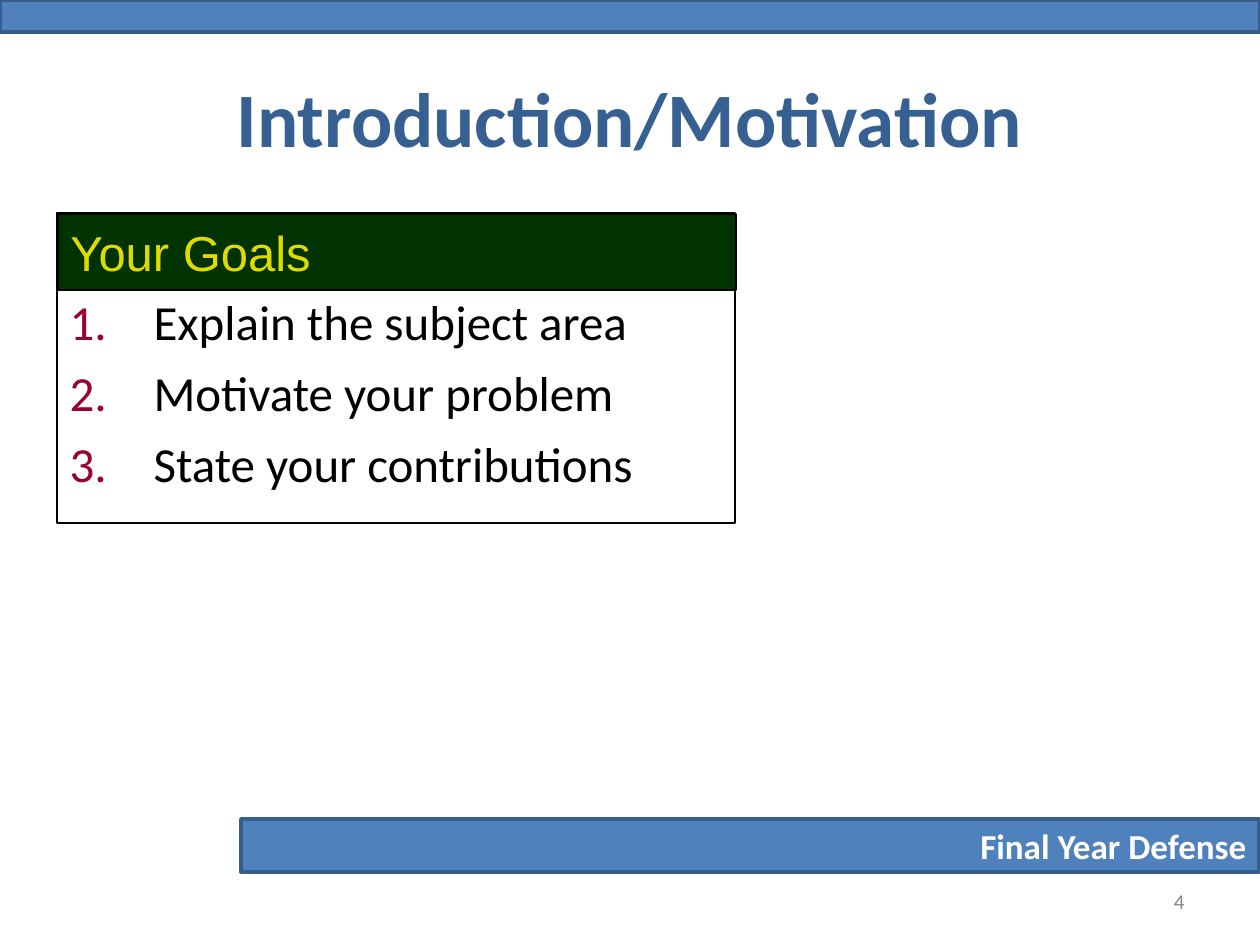
from lxml import etree
from pptx import Presentation
from pptx.dml.color import RGBColor
from pptx.enum.shapes import MSO_SHAPE
from pptx.enum.text import MSO_ANCHOR, MSO_AUTO_SIZE, PP_ALIGN
from pptx.oxml.ns import qn
from pptx.util import Emu, Pt

TITLE = "Introduction/Motivation"
GOALS_HEADING = "Your Goals"
GOALS = ["Explain the subject area", "Motivate your problem", "State your contributions"]
FOOTER = "Final Year Defense"
PAGE_NUMBER = "4"

BAR_BLUE = RGBColor(0x4F, 0x81, 0xBD)
BAR_EDGE = RGBColor(0x38, 0x5D, 0x8A)
TITLE_BLUE = RGBColor(0x37, 0x60, 0x92)
DARK_GREEN = RGBColor(0x00, 0x33, 0x00)
YELLOW = RGBColor(0xDF, 0xDA, 0x00)
NUMBER_RED = RGBColor(0x99, 0x00, 0x33)
GRAY = RGBColor(0x89, 0x89, 0x89)
BLACK = RGBColor(0x00, 0x00, 0x00)
WHITE = RGBColor(0xFF, 0xFF, 0xFF)

RECTANGLE = MSO_SHAPE.RECTANGLE
LEFT, CENTER, RIGHT = PP_ALIGN.LEFT, PP_ALIGN.CENTER, PP_ALIGN.RIGHT
MIDDLE, TOP = MSO_ANCHOR.MIDDLE, MSO_ANCHOR.TOP

PX = 914400 // 126
SLIDE_W, SLIDE_H = 1260, 945
TITLE_BOX = (63, 38, 1134, 157)
TOP_BAR = (0, 0, SLIDE_W, 32)
FOOTER_BAR = (241, 819, 1018, 53)
NUMBER_BOX = (903, 876, 294, 50)
GOALS_BOX = (57, 213, 678, 310)
HEADING_BOX = (58, 214, 678, 76)
GOALS_TOP_INSET = 78
GOAL_INDENT = 84


def px(length):
    return Emu(length * PX)


def place(shape, box):
    shape.left, shape.top, shape.width, shape.height = map(px, box)


def write(shape, lines, size, color, align=LEFT, anchor=MIDDLE, font="Calibri", bold=False):
    frame = shape.text_frame
    frame.text = "\n".join(lines)
    frame.auto_size = MSO_AUTO_SIZE.NONE
    frame.word_wrap = True
    frame.vertical_anchor = anchor
    for paragraph in frame.paragraphs:
        paragraph.alignment = align
        paragraph.font.name = font
        paragraph.font.size = Pt(size)
        paragraph.font.bold = bold
        paragraph.font.color.rgb = color


def add_bar(slide, box, fill, edge, edge_width):
    bar = slide.shapes.add_shape(RECTANGLE, *map(px, box))
    bar.shadow.inherit = False
    bar.fill.solid()
    bar.fill.fore_color.rgb = fill
    bar.line.color.rgb = edge
    bar.line.width = Pt(edge_width)
    return bar


def number_paragraph(paragraph):
    properties = paragraph._p.get_or_add_pPr()
    properties.set("marL", str(px(GOAL_INDENT)))
    properties.set("indent", str(-px(GOAL_INDENT)))
    bullet_color = etree.SubElement(properties, qn("a:buClr"))
    etree.SubElement(bullet_color, qn("a:srgbClr"), val=str(NUMBER_RED))
    etree.SubElement(properties, qn("a:buFont"), typeface="+mj-lt")
    etree.SubElement(properties, qn("a:buAutoNum"), type="arabicPeriod")


def add_goals(goals):
    place(goals, GOALS_BOX)
    goals.line.color.rgb = BLACK
    goals.line.width = Pt(0.75)
    frame = goals.text_frame
    frame.text = "\n".join(GOALS)
    frame.margin_top = px(GOALS_TOP_INSET)
    for index, paragraph in enumerate(frame.paragraphs):
        number_paragraph(paragraph)
        paragraph.space_before = Pt(7 if index else 0)


def main():
    presentation = Presentation()
    presentation.slide_width, presentation.slide_height = px(SLIDE_W), px(SLIDE_H)
    slide = presentation.slides.add_slide(presentation.slide_layouts[1])

    title, goals = slide.placeholders
    place(title, TITLE_BOX)
    write(title, [TITLE], 44, TITLE_BLUE, CENTER, bold=True)

    add_goals(goals)
    for paragraph in goals.text_frame.paragraphs:
        paragraph.font.name = "Calibri"
        paragraph.font.size = Pt(28)
        paragraph.font.color.rgb = BLACK
    goals.text_frame.auto_size = MSO_AUTO_SIZE.NONE
    goals.text_frame.vertical_anchor = TOP

    heading = add_bar(slide, HEADING_BOX, DARK_GREEN, BLACK, 0.75)
    write(heading, [GOALS_HEADING], 28, YELLOW, font="Arial")

    add_bar(slide, TOP_BAR, BAR_BLUE, BAR_EDGE, 2)
    footer = add_bar(slide, FOOTER_BAR, BAR_BLUE, BAR_EDGE, 2)
    write(footer, [FOOTER], 20, WHITE, RIGHT, bold=True)

    page_number = slide.shapes.add_textbox(*map(px, NUMBER_BOX))
    write(page_number, [PAGE_NUMBER], 12, GRAY, RIGHT)

    presentation.save("out.pptx")


if __name__ == "__main__":
    main()
